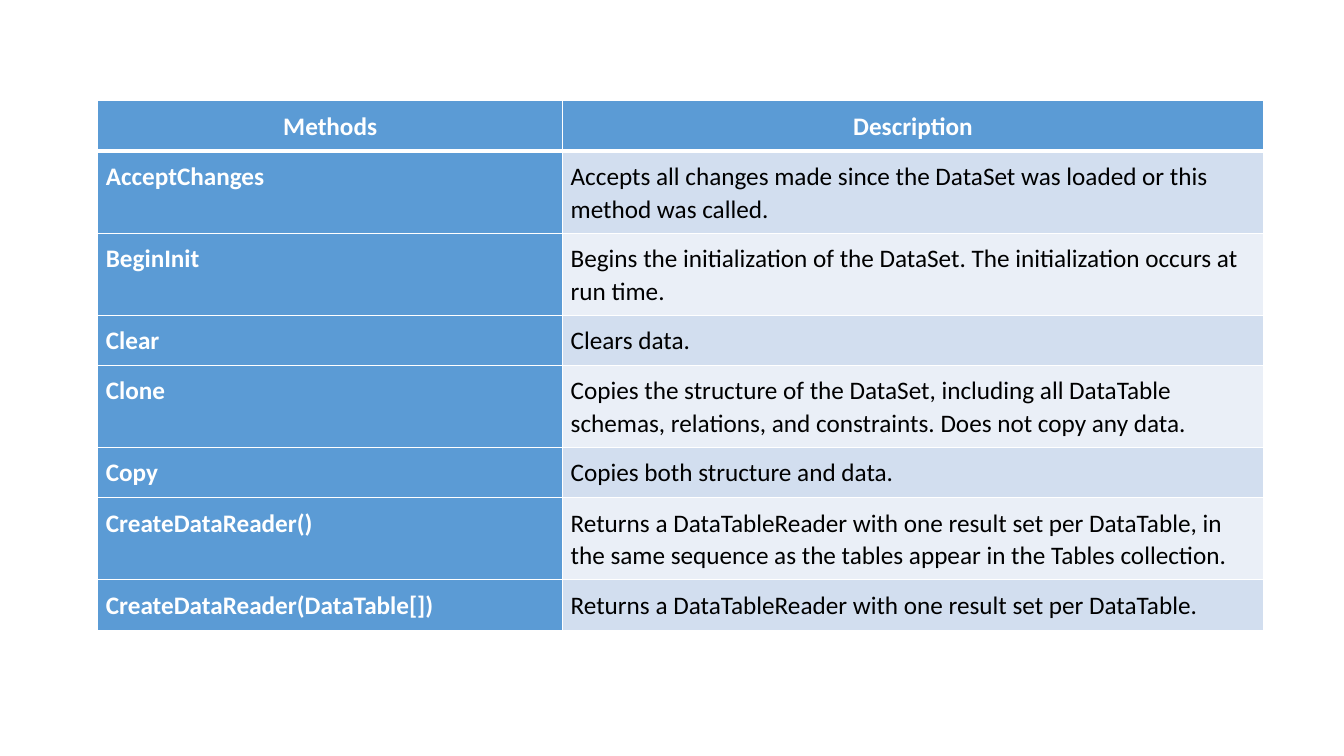
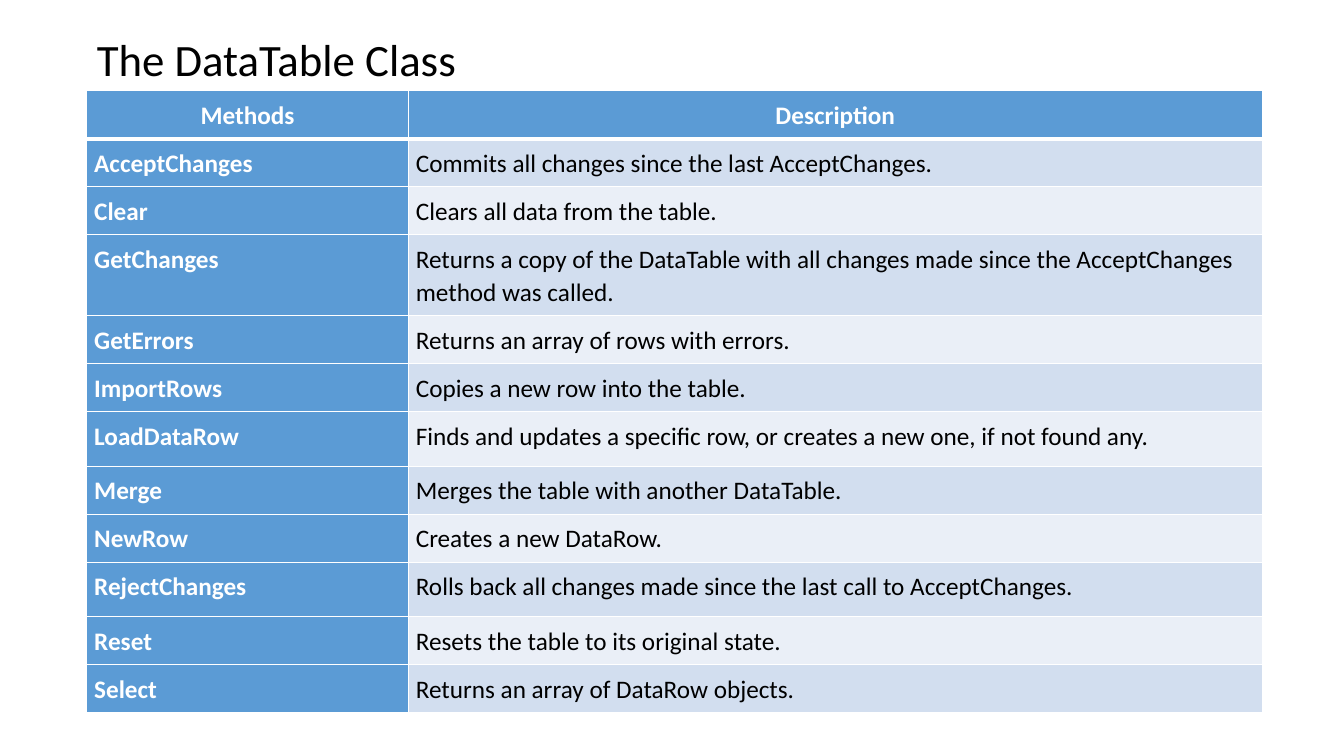
import pptx
import pptx.util
import pptx.dml.color
import pptx.enum.text
import pptx.oxml
import pptx.oxml.ns

Inches = pptx.util.Inches
Pt = pptx.util.Pt
ALIGN = pptx.enum.text.PP_ALIGN

FONT = "Calibri"
BLUE = "5B9BD5"
BANDS = ["EAEFF7", "D2DEEF"]
WHITE = "FFFFFF"
BLACK = "000000"
HEADER = ("Methods", "Description")


def color(value):
    return pptx.dml.color.RGBColor.from_string(value)


def set_borders(cell, widths):
    properties = cell._tc.get_or_add_tcPr()
    for position, (side, width) in enumerate(widths.items()):
        line = pptx.oxml.parse_xml(
            f'<a:ln{side} {pptx.oxml.ns.nsdecls("a")} w="{Pt(width)}">'
            f'<a:solidFill><a:srgbClr val="{WHITE}"/></a:solidFill></a:ln{side}>'
        )
        properties.insert(position, line)


dataset_methods = [
    ("AcceptChanges", "Accepts all changes made since the DataSet was loaded or this method was called."),
    ("BeginInit", "Begins the initialization of the DataSet. The initialization occurs at run time."),
    ("Clear", "Clears data."),
    ("Clone", "Copies the structure of the DataSet, including all DataTable schemas, relations, and constraints. Does not copy any data."),
    ("Copy", "Copies both structure and data."),
    ("CreateDataReader()", "Returns a DataTableReader with one result set per DataTable, in the same sequence as the tables appear in the Tables collection."),
    ("CreateDataReader(DataTable[])", "Returns a DataTableReader with one result set per DataTable."),
]

datatable_methods = [
    ("AcceptChanges", "Commits all changes since the last AcceptChanges."),
    ("Clear", "Clears all data from the table."),
    ("GetChanges", "Returns a copy of the DataTable with all changes made since the AcceptChanges method was called."),
    ("GetErrors", "Returns an array of rows with errors."),
    ("ImportRows", "Copies a new row into the table."),
    ("LoadDataRow", "Finds and updates a specific row, or creates a new one, if not found any."),
    ("Merge", "Merges the table with another DataTable."),
    ("NewRow", "Creates a new DataRow."),
    ("RejectChanges", "Rolls back all changes made since the last call to AcceptChanges."),
    ("Reset", "Resets the table to its original state."),
    ("Select", "Returns an array of DataRow objects."),
]

slides = [
    {
        "title": None, "left": 0.97, "top": 1, "columns": [4.61, 6.95],
        "row": 0.5, "taller": {1: 0.81, 2: 0.81, 4: 0.81, 6: 0.81},
        "margin": Inches(0.08), "methods": dataset_methods,
    },
    {
        "title": "The DataTable Class", "left": 0.86, "top": 0.9, "columns": [3.19, 8.47],
        "row": 0.47, "taller": {3: 0.8, 6: 0.54, 9: 0.54},
        "margin": Pt(5.4), "methods": datatable_methods,
    },
]

deck = pptx.Presentation()
deck.slide_width = Inches(13.33)
deck.slide_height = Inches(7.5)
title_only, blank = deck.slide_layouts[5], deck.slide_layouts[6]

for content in slides:
    page = deck.slides.add_slide(title_only if content["title"] else blank)

    if content["title"]:
        title = page.shapes.title
        title.left, title.top = Inches(content["left"]), Inches(0.26)
        title.width, title.height = Inches(3.98), Inches(0.64)
        frame = title.text_frame
        frame.text = content["title"]
        frame.vertical_anchor = pptx.enum.text.MSO_ANCHOR.TOP
        frame.auto_size = pptx.enum.text.MSO_AUTO_SIZE.NONE
        para = frame.paragraphs[0]
        para.alignment = ALIGN.LEFT
        font = para.runs[0].font
        font.name, font.size = FONT, Pt(32)
        font.color.rgb = color(BLACK)

    rows = [HEADER] + content["methods"]
    heights = [content["taller"].get(index, content["row"]) for index in range(len(rows))]
    table = page.shapes.add_table(
        len(rows), len(HEADER), Inches(content["left"]), Inches(content["top"]),
        Inches(sum(content["columns"])), Inches(sum(heights)),
    ).table
    table.first_col = True
    for column, width in zip(table.columns, content["columns"]):
        column.width = Inches(width)

    for row_index, texts in enumerate(rows):
        table.rows[row_index].height = Inches(heights[row_index])
        for column_index, text in enumerate(texts):
            heading = row_index == 0 or column_index == 0
            cell = table.cell(row_index, column_index)
            cell.margin_left = cell.margin_right = content["margin"]
            cell.margin_top = cell.margin_bottom = content["margin"]
            cell.fill.solid()
            cell.fill.fore_color.rgb = color(BLUE if heading else BANDS[row_index % 2])
            set_borders(cell, {
                "L": 1, "R": 1,
                "T": 3 if row_index == 1 else 1,
                "B": 3 if row_index == 0 else 1,
            })
            cell.text_frame.text = text
            para = cell.text_frame.paragraphs[0]
            para.alignment = ALIGN.CENTER if row_index == 0 else ALIGN.LEFT
            para.line_spacing = 1.07
            para.space_after = Pt(15)
            font = para.runs[0].font
            font.name, font.size, font.bold = FONT, Pt(18), heading
            font.color.rgb = color(WHITE if heading else BLACK)

deck.save("out.pptx")
